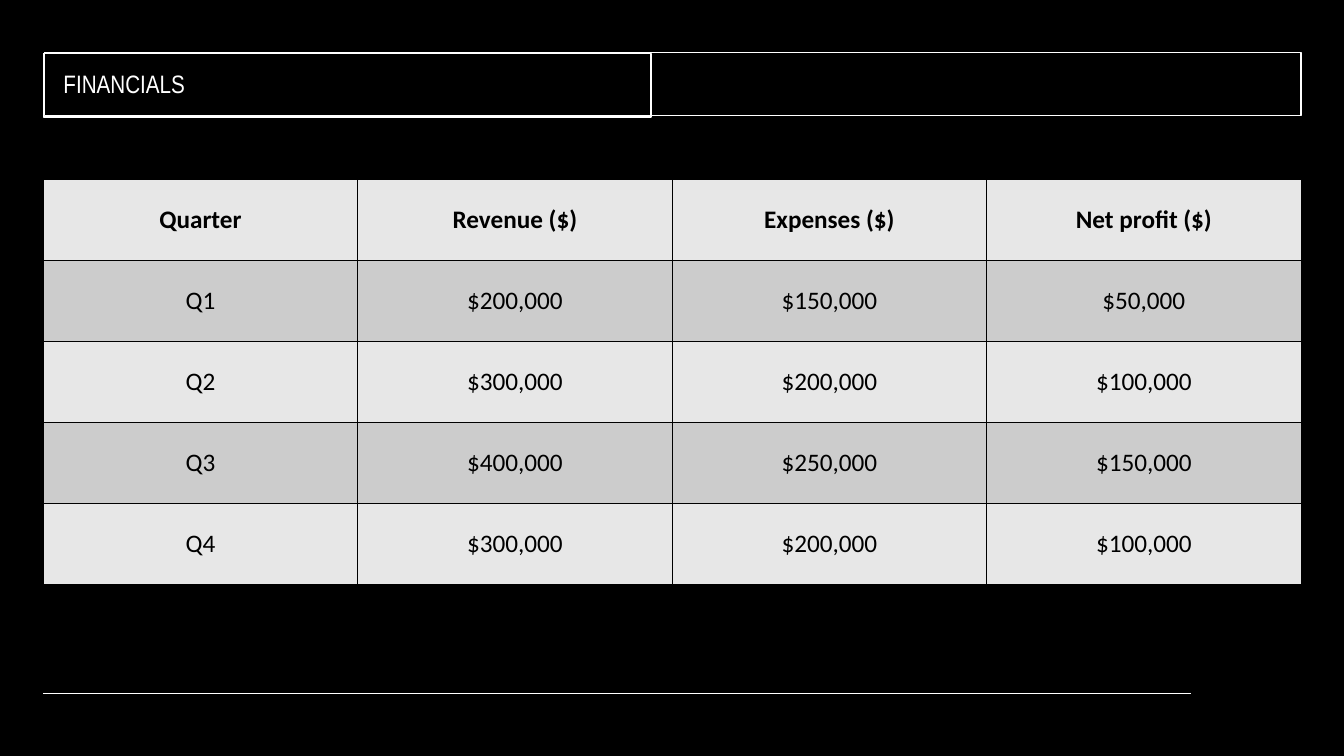
"""Build the quarterly financials slide."""
from lxml import etree
from pptx import Presentation
from pptx.dml.color import RGBColor
from pptx.enum.shapes import MSO_CONNECTOR, MSO_SHAPE
from pptx.enum.text import MSO_ANCHOR, PP_ALIGN
from pptx.oxml.ns import qn
from pptx.util import Cm, Pt

RECTANGLE = MSO_SHAPE.RECTANGLE
STRAIGHT = MSO_CONNECTOR.STRAIGHT
MIDDLE = MSO_ANCHOR.MIDDLE
LEFT, CENTER = PP_ALIGN.LEFT, PP_ALIGN.CENTER

BLACK, WHITE = "000000", "FFFFFF"
BAND_FILLS = ("E7E7E7", "CCCCCC")
MARGIN = 1.09

QUARTERLY_RESULTS = (
    ("Quarter", "Revenue ($)", "Expenses ($)", "Net profit ($)"),
    ("Q1", "$200,000", "$150,000", "$50,000"),
    ("Q2", "$300,000", "$200,000", "$100,000"),
    ("Q3", "$400,000", "$250,000", "$150,000"),
    ("Q4", "$300,000", "$200,000", "$100,000"),
)


def rgb(color):
    return RGBColor.from_string(color)


def apply(target, formats):
    for name, value in formats.items():
        setattr(target, name, value)


class FinancialsSlide:
    def __init__(self, slide, text_size=18, line_width=1):
        self.slide = slide
        self.text_size = Pt(text_size)
        self.line_width = Pt(line_width)

    def background(self, color):
        fill = self.slide.background.fill
        fill.solid()
        fill.fore_color.rgb = rgb(color)

    def outline(self, line):
        line.color.rgb = rgb(WHITE)
        line.width = self.line_width

    def rule(self, left, right, top):
        rule = self.slide.shapes.add_connector(
            STRAIGHT, Cm(left), Cm(top), Cm(right), Cm(top))
        self.outline(rule.line)
        etree.SubElement(rule._element.spPr, qn("a:effectLst"))

    def frame(self, left, top, width, height):
        frame = self.slide.shapes.add_shape(
            RECTANGLE, Cm(left), Cm(top), Cm(width), Cm(height))
        frame.shadow.inherit = False
        frame.fill.background()
        self.outline(frame.line)
        return frame

    def label(self, paragraph, text, font, color, align, bold=False):
        paragraph.alignment = align
        run = paragraph.add_run()
        run.text = text
        apply(run.font, {"name": font, "size": self.text_size, "bold": bold})
        run.font.color.rgb = rgb(color)

    def title(self, text, *box):
        content = self.frame(*box).text_frame
        apply(content, {
            "word_wrap": True, "vertical_anchor": MIDDLE,
            "margin_left": Cm(0.51), "margin_right": Cm(0.25),
            "margin_top": Cm(0.13), "margin_bottom": Cm(0.13),
        })
        heading = content.paragraphs[0]
        heading.line_spacing = 0.9
        self.label(heading, text, "Arial Narrow", WHITE, LEFT)

    def borders(self, cell):
        properties = cell._tc.get_or_add_tcPr()
        for index, side in enumerate(("a:lnL", "a:lnR", "a:lnT", "a:lnB")):
            border = etree.Element(qn(side), w=str(self.line_width))
            fill = etree.SubElement(border, qn("a:solidFill"))
            etree.SubElement(fill, qn("a:srgbClr"), val=BLACK)
            properties.insert(index, border)

    def table(self, rows, left, top, width, height):
        table = self.slide.shapes.add_table(
            len(rows), len(rows[0]),
            Cm(left), Cm(top), Cm(width), Cm(height)).table
        for row_index, row in enumerate(rows):
            for column_index, text in enumerate(row):
                cell = table.cell(row_index, column_index)
                cell.vertical_anchor = MIDDLE
                cell.fill.solid()
                cell.fill.fore_color.rgb = rgb(BAND_FILLS[row_index % 2])
                self.borders(cell)
                self.label(cell.text_frame.paragraphs[0], text, "Calibri",
                           BLACK, CENTER, bold=row_index == 0)


def main():
    presentation = Presentation()
    apply(presentation, {"slide_width": Cm(33.87), "slide_height": Cm(19.05)})
    blank = presentation.slide_layouts[6]
    financials = FinancialsSlide(presentation.slides.add_slide(blank))
    financials.background(BLACK)
    financials.rule(MARGIN, 30.02, 17.48)
    financials.frame(1.12, 1.32, 31.67, 1.6)
    financials.title("FINANCIALS", MARGIN, 1.35, 15.32, 1.6)
    financials.table(QUARTERLY_RESULTS, MARGIN, 4.52, 31.7, 10.21)
    presentation.save("out.pptx")


if __name__ == "__main__":
    main()
